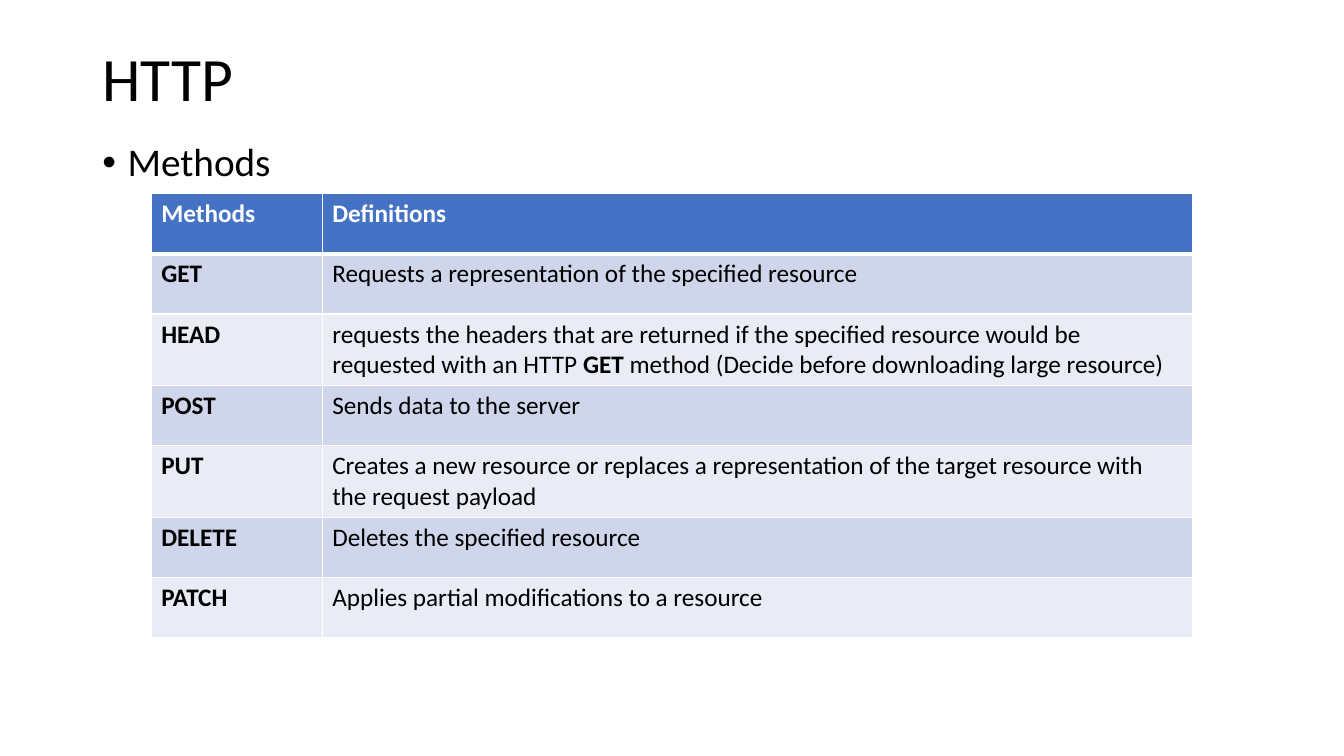
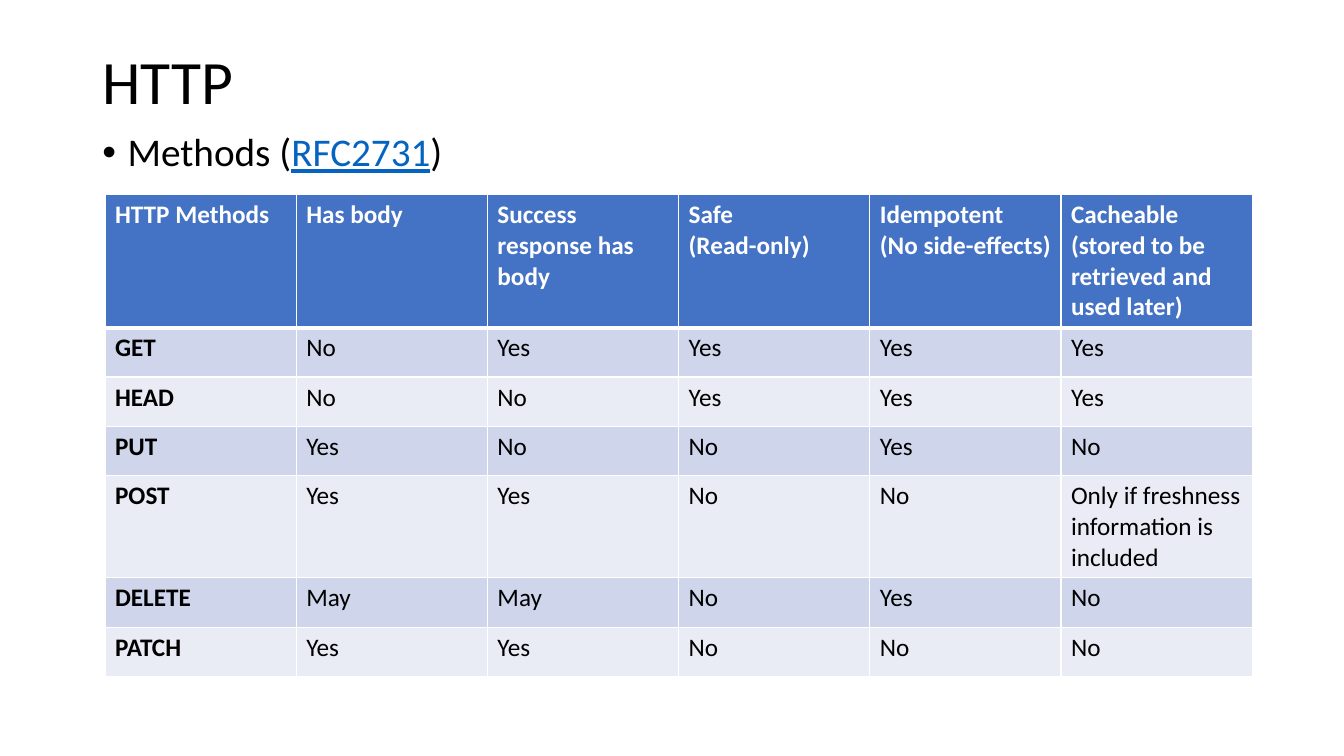
from dataclasses import dataclass

from lxml.etree import SubElement
from pptx import Presentation
from pptx.dml.color import RGBColor
from pptx.enum.text import MSO_ANCHOR, MSO_AUTO_SIZE, PP_ALIGN
from pptx.oxml.ns import qn
from pptx.util import Pt

COLORS = {
    "black": "000000",
    "white": "FFFFFF",
    "link": "0563C1",
    "header": "4472C4",
    "band_dark": "CFD5EA",
    "band_light": "E9EBF5",
}
FONT = "Calibri"
TITLE_SIZE, BULLET_SIZE, CELL_SIZE = 44, 28, 18
MARGIN_LEFT, CONTENT_WIDTH = 66, 828
TITLE_TOP, BODY_HEIGHT = 28.8, 342.7
BULLET_INDENT = 18
THIN_BORDER, THICK_BORDER = 1, 3


@dataclass(frozen=True)
class Run:
    text: str
    color: str = "black"
    bold: bool = False
    underline: bool = False


@dataclass(frozen=True)
class TableSpec:
    left: float
    top: float
    column_widths: list[float]
    row_heights: list[float]
    rows: list[list[str | list[Run]]]


@dataclass(frozen=True)
class SlideSpec:
    title: str
    title_height: float
    body_top: float
    bullet: list[Run]
    table: TableSpec


SLIDES = [
    SlideSpec(
        title="HTTP",
        title_height=59,
        body_top=98.6,
        bullet=[Run("Methods")],
        table=TableSpec(
            left=108,
            top=138.4,
            column_widths=[122.2, 621.6],
            row_heights=[43] * 7,
            rows=[
                ["Methods", "Definitions"],
                ["GET", "Requests a representation of the specified resource"],
                ["HEAD", [
                    Run("requests the headers that are returned if the specified "
                        "resource would be requested with an HTTP "),
                    Run("GET", bold=True),
                    Run(" method (Decide before downloading large resource)"),
                ]],
                ["POST", "Sends data to the server"],
                ["PUT", "Creates a new resource or replaces a representation of "
                        "the target resource with the request payload"],
                ["DELETE", "Deletes the specified resource"],
                ["PATCH", "Applies partial modifications to a resource"],
            ],
        ),
    ),
    SlideSpec(
        title="HTTP",
        title_height=62.6,
        body_top=91.4,
        bullet=[Run("Methods ("), Run("RFC2731", "link", underline=True), Run(")")],
        table=TableSpec(
            left=75,
            top=139,
            column_widths=[136.6] * 6,
            row_heights=[86.4, 35.2, 35.2, 35.2, 66, 35.2, 35.2],
            rows=[
                ["HTTP Methods", "Has body", "Success response has body",
                 "Safe\n(Read-only)", "Idempotent\n(No side-effects)",
                 "Cacheable\n(stored to be retrieved and used later)"],
                ["GET", "No", "Yes", "Yes", "Yes", "Yes"],
                ["HEAD", "No", "No", "Yes", "Yes", "Yes"],
                ["PUT", "Yes", "No", "No", "Yes", "No"],
                ["POST", "Yes", "Yes", "No", "No",
                 "Only if freshness information is included"],
                ["DELETE", "May", "May", "No", "Yes", "No"],
                ["PATCH", "Yes", "Yes", "No", "No", "No"],
            ],
        ),
    ),
]


def rgb(name: str) -> RGBColor:
    return RGBColor.from_string(COLORS[name])


def add_runs(paragraph, runs: list[Run], size: float) -> None:
    for item in runs:
        run = paragraph.add_run()
        run.text = item.text
        run.font.name = FONT
        run.font.size = Pt(size)
        run.font.bold = item.bold
        run.font.underline = item.underline
        run.font.color.rgb = rgb(item.color)


def fill_placeholder(shape, top: float, height: float, runs: list[Run], size: float):
    """Move the placeholder, write one left-aligned paragraph and return it."""
    shape.left, shape.top = Pt(MARGIN_LEFT), Pt(top)
    shape.width, shape.height = Pt(CONTENT_WIDTH), Pt(height)
    shape.text_frame.auto_size = MSO_AUTO_SIZE.NONE
    paragraph = shape.text_frame.paragraphs[0]
    paragraph.alignment = PP_ALIGN.LEFT
    paragraph.line_spacing = 0.9
    add_runs(paragraph, runs, size)
    return paragraph


def set_bullet(paragraph) -> None:
    properties = paragraph._p.get_or_add_pPr()
    properties.set("marL", str(Pt(BULLET_INDENT)))
    properties.set("indent", str(-Pt(BULLET_INDENT)))
    SubElement(properties, qn("a:buFont"), typeface="Arial")
    SubElement(properties, qn("a:buChar"), char="•")


def set_borders(cell, top: float, bottom: float) -> None:
    properties = cell._tc.get_or_add_tcPr()
    widths = {"lnL": THIN_BORDER, "lnR": THIN_BORDER, "lnT": top, "lnB": bottom}
    for side, width in widths.items():
        line = SubElement(properties, qn(f"a:{side}"), w=str(Pt(width)))
        fill = SubElement(line, qn("a:solidFill"))
        SubElement(fill, qn("a:srgbClr"), val=COLORS["white"])


def fill_cell(cell, content: str | list[Run], row: int, column: int) -> None:
    is_header = row == 0
    set_borders(
        cell,
        top=THICK_BORDER if row == 1 else THIN_BORDER,
        bottom=THICK_BORDER if is_header else THIN_BORDER,
    )
    cell.fill.solid()
    band = "band_dark" if row % 2 else "band_light"
    cell.fill.fore_color.rgb = rgb("header" if is_header else band)
    if isinstance(content, str):
        color = "white" if is_header else "black"
        bold = is_header or column == 0
        lines = [[Run(text, color, bold)] for text in content.split("\n")]
    else:
        lines = [content]
    frame = cell.text_frame
    for index, runs in enumerate(lines):
        paragraph = frame.add_paragraph() if index else frame.paragraphs[0]
        add_runs(paragraph, runs, CELL_SIZE)


def add_table(slide, spec: TableSpec) -> None:
    table = slide.shapes.add_table(
        len(spec.rows), len(spec.column_widths), Pt(spec.left), Pt(spec.top),
        Pt(sum(spec.column_widths)), Pt(sum(spec.row_heights)),
    ).table
    for column, width in zip(table.columns, spec.column_widths):
        column.width = Pt(width)
    for row, height in zip(table.rows, spec.row_heights):
        row.height = Pt(height)
    for row_index, contents in enumerate(spec.rows):
        for column_index, content in enumerate(contents):
            cell = table.cell(row_index, column_index)
            fill_cell(cell, content, row_index, column_index)


def add_slide(presentation, spec: SlideSpec) -> None:
    slide = presentation.slides.add_slide(presentation.slide_layouts[1])
    title, body = slide.shapes.title, slide.placeholders[1]
    fill_placeholder(title, TITLE_TOP, spec.title_height, [Run(spec.title)], TITLE_SIZE)
    title.text_frame.vertical_anchor = MSO_ANCHOR.MIDDLE
    bullet = fill_placeholder(body, spec.body_top, BODY_HEIGHT, spec.bullet, BULLET_SIZE)
    bullet.space_before = Pt(10)
    set_bullet(bullet)
    add_table(slide, spec.table)


def main() -> None:
    presentation = Presentation()
    presentation.slide_width, presentation.slide_height = Pt(960), Pt(540)
    for spec in SLIDES:
        add_slide(presentation, spec)
    presentation.save("out.pptx")


if __name__ == "__main__":
    main()
